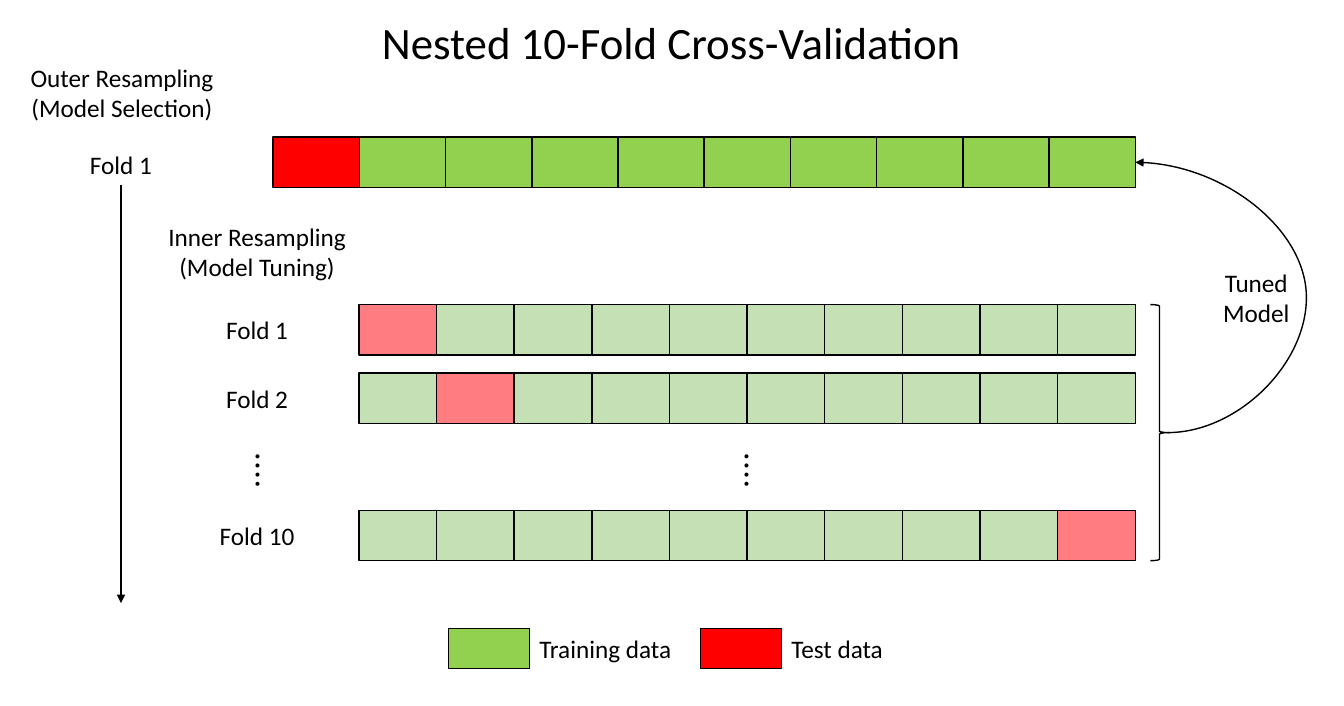
from pptx import Presentation
from pptx.dml.color import RGBColor
from pptx.enum.shapes import MSO_CONNECTOR as LINK, MSO_SHAPE as SHAPE
from pptx.enum.text import MSO_ANCHOR as ANCHOR, PP_ALIGN as ALIGN
from pptx.oxml.ns import qn
from pptx.util import Inches, Pt
from lxml.etree import SubElement

BLACK = RGBColor(0, 0, 0)
TEST = RGBColor(0xFF, 0x00, 0x00)
TRAINING = RGBColor(0x92, 0xD0, 0x50)
INNER_TEST = RGBColor(0xFF, 0x7C, 0x80)
INNER_TRAINING = RGBColor(0xC5, 0xE0, 0xB4)
FONT = "Calibri"

TITLE = "Nested 10-Fold Cross-Validation"
FOLDS = 10
INNER_FOLDS = [("Fold 1", 0, 3.02), ("Fold 2", 1, 3.7), ("Fold 10", 9, 5.06)]
HEADINGS = [
    ("Outer Resampling\n(Model Selection)", 0.19, 0.57, 2.04),
    ("Inner Resampling\n(Model Tuning)", 1.54, 2.14, 2.02),
    ("Tuned\nModel", 12.02, 2.6, 0.88),
]
ELLIPSIS = "⁞"
ELLIPSIS_LEFTS = [2.13, 6.98]
LEGEND = [("Training data", TRAINING, 4.45, 1.55), ("Test data", TEST, 6.95, 1.13)]

OUTER_LEFT, OUTER_TOP = 2.71, 1.36
INNER_LEFT, RIGHT = 3.56, 11.26
CELL_H = 0.5
LABEL_W, LABEL_H = 1.04, 0.4
LEGEND_TOP, SWATCH_W = 6.23, 0.8

prs = Presentation()
prs.slide_width, prs.slide_height = Inches(13.33), Inches(7)
slide = prs.slides.add_slide(prs.slide_layouts[5])
shapes = slide.shapes


def write(box, text, size=18, align=ALIGN.CENTER):
    frame = box.text_frame
    frame.word_wrap = True
    frame.vertical_anchor = ANCHOR.TOP
    frame.text = text
    for paragraph in frame.paragraphs:
        paragraph.alignment = align
        for run in paragraph.runs:
            run.font.name, run.font.size = FONT, Pt(size)
            run.font.color.rgb = BLACK


def add_label(text, left, top, width, height, **style):
    label = shapes.add_textbox(*map(Inches, (left, top, width, height)))
    write(label, text, **style)
    return label


def outline(item, width=1):
    item.line.color.rgb = BLACK
    item.line.width = Pt(width)


def add_cell(left, top, width, height, color):
    cell = shapes.add_shape(SHAPE.RECTANGLE, *map(Inches, (left, top, width, height)))
    cell.shadow.inherit = False
    cell.fill.solid()
    cell.fill.fore_color.rgb = color
    outline(cell)


def add_folds(left, top, test_fold, test_color, training_color):
    width = (RIGHT - left) / FOLDS
    for fold in range(FOLDS):
        color = test_color if fold == test_fold else training_color
        add_cell(left + fold * width, top, width, CELL_H, color)


def add_arrow(kind, start, end, width):
    arrow = shapes.add_connector(kind, *map(Inches, start + end))
    outline(arrow, width)
    SubElement(arrow.line._get_or_add_ln(), qn("a:tailEnd"), type="triangle")
    SubElement(arrow._element.spPr, qn("a:effectLst"))
    return arrow


title = shapes.title
title.left, title.top, title.width, title.height = map(Inches, (3.6, 0.1, 6.12, 0.64))
write(title, TITLE, size=32)

add_folds(OUTER_LEFT, OUTER_TOP, 0, TEST, TRAINING)
for name, test_fold, top in INNER_FOLDS:
    add_folds(INNER_LEFT, top, test_fold, INNER_TEST, INNER_TRAINING)
    add_label(name, 2.03, top + 0.05, LABEL_W, LABEL_H)

for left in ELLIPSIS_LEFTS:
    add_label(ELLIPSIS, left, 4.38, 0.85, 0.5, size=24)
for text, left, top, width in HEADINGS:
    add_label(text, left, top, width, 0.71)

outer_fold = add_label("Fold 1", 0.68, 1.43, LABEL_W, LABEL_H)
outer_arrow = add_arrow(LINK.STRAIGHT, (1.2, 1.83), (1.2, 5.98), 2)
outer_arrow.begin_connect(outer_fold, 2)

inner_top = INNER_FOLDS[0][2]
inner_bottom = INNER_FOLDS[-1][2] + CELL_H
brace = shapes.add_shape(
    SHAPE.RIGHT_BRACE, *map(Inches, (11.41, inner_top, 0.18, inner_bottom - inner_top)))
brace.shadow.inherit = False
brace.fill.background()
outline(brace)

tuned_arrow = add_arrow(
    LINK.CURVE, (11.58, (inner_top + inner_bottom) / 2), (RIGHT, OUTER_TOP + CELL_H / 2), 1)
geometry = tuned_arrow._element.spPr.find(qn("a:prstGeom"))
SubElement(geometry.find(qn("a:avLst")), qn("a:gd"), name="adj1", fmla="val -430500")

for text, color, left, width in LEGEND:
    add_cell(left, LEGEND_TOP, SWATCH_W, LABEL_H, color)
    add_label(text, left + SWATCH_W, LEGEND_TOP, width, LABEL_H, align=ALIGN.LEFT)

prs.save("out.pptx")
